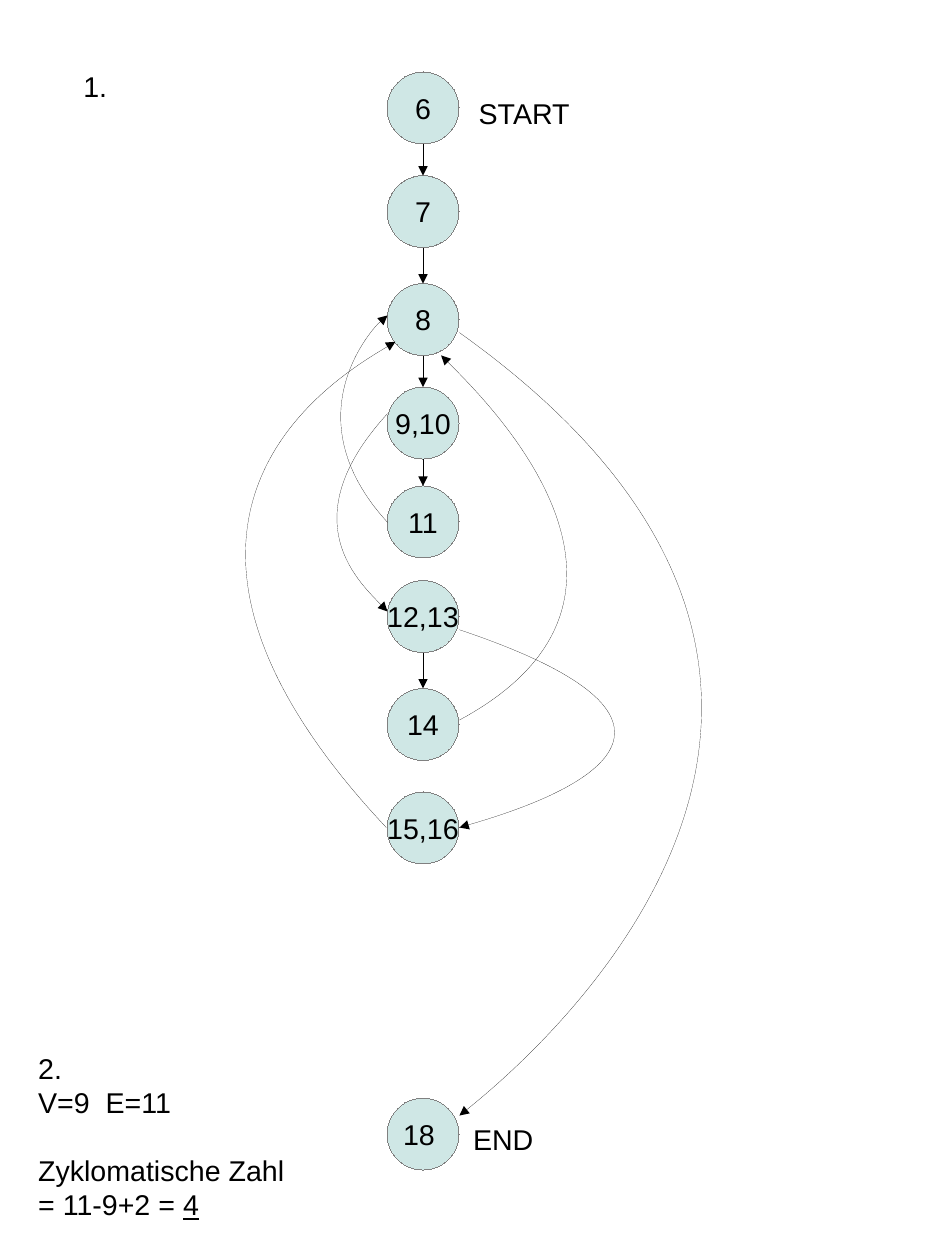
from lxml import etree
from pptx import Presentation
from pptx.dml.color import RGBColor
from pptx.enum.shapes import MSO_CONNECTOR, MSO_SHAPE
from pptx.enum.text import MSO_ANCHOR, MSO_AUTO_SIZE, PP_ALIGN
from pptx.oxml.ns import qn
from pptx.util import Pt

# Content: node label and top edge
NODES = [("6", 45.35), ("7", 110.6), ("8", 178.6), ("9,10", 243.8),
         ("11", 306.1), ("12,13", 365.7), ("14", 433.7), ("15,16", 498.9),
         ("18 ", 691.7)]
STRAIGHT_EDGES = [("6", "7"), ("7", "8"), ("8", "9,10"), ("9,10", "11"),
                  ("12,13", "14")]
# Start, control point, end, and for one edge a short straight last piece
CURVED_EDGES = [
    [(289.4, 209.5), (620.6, 445.7), (289.4, 702.7)],               # 8 to 18
    [(244.1, 260.6), (181.4, 329), (244.1, 385.2)],                 # 9,10 to 12,13
    [(244.1, 329), (181.4, 260.6), (238.3, 203.8), (244.1, 198.7)],  # 11 to 8
    [(289.4, 396.7), (493.2, 465.1), (289.4, 521.3)],               # 12,13 to 15,16
    [(289.4, 453.6), (436.3, 374.4), (277.9, 223.9)],               # 14 to 8
    [(243.4, 521.3), (55.4, 321.1), (249.1, 215.3)],                # 15,16 to 8
]
# Text boxes: left, top, width, height, paragraphs (space before, spans)
LABELS = [
    (294.5, 56.7, 80, 27.4, [(0, ["START"])]),
    (290.9, 703, 60, 27.4, [(0, ["END"])]),
    (45.4, 39.6, 33.8, 27.4, [(0, ["1."])]),
    (17, 658.5, 203.8, 118.1, [
        (0, ["2."]),
        (0, ["V=9  E=11"]),
        (21, ["Zyklomatische Zahl"]),
        (0, ["= 11-9+2 = ", "4"]),
    ]),
]
UNDERLINED = "4"

# Format
BLACK = RGBColor(0x00, 0x00, 0x00)
GREY = RGBColor(0x80, 0x80, 0x80)
MINT = RGBColor(0xCF, 0xE7, 0xE5)
FONT = {"name": "Arial", "size": Pt(18)}
NODE_LEFT, NODE_SIZE = 243.8, 45.35
NODE_CENTRE = NODE_LEFT + NODE_SIZE / 2
STEPS = 100


def add_span(para, text):
    span = para.add_run()
    span.text = text
    for key, value in FONT.items():
        setattr(span.font, key, value)
    span.font.color.rgb = BLACK
    return span


def style_line(item, color, arrow=False):
    item.line.color.rgb = color
    outline = item._element.spPr.find(qn("a:ln"))
    # Hairline: a zero width must be written out, or the theme width applies
    outline.set("w", "0")
    if arrow:
        etree.SubElement(outline, qn("a:tailEnd"), type="triangle")


def add_node(page, label, top):
    node = page.shapes.add_shape(MSO_SHAPE.OVAL, Pt(NODE_LEFT), Pt(top),
                                 Pt(NODE_SIZE), Pt(NODE_SIZE))
    node.shadow.inherit = False
    node.fill.solid()
    node.fill.fore_color.rgb = MINT
    style_line(node, GREY)
    frame = node.text_frame
    frame.word_wrap = False
    frame.vertical_anchor = MSO_ANCHOR.MIDDLE
    para = frame.paragraphs[0]
    para.alignment = PP_ALIGN.CENTER
    add_span(para, label)


def add_straight_edge(page, top, bottom):
    edge = page.shapes.add_connector(MSO_CONNECTOR.STRAIGHT, Pt(NODE_CENTRE), Pt(top),
                                     Pt(NODE_CENTRE), Pt(bottom))
    style_line(edge, BLACK, arrow=True)
    etree.SubElement(edge._element.spPr, qn("a:effectLst"))


def curve_point(start, control, end, t):
    """Point of a cubic curve whose second control point is its end."""
    return tuple(Pt((1 - t) ** 3 * s + 3 * (1 - t) ** 2 * t * c + (3 - 2 * t) * t * t * e)
                 for s, c, e in zip(start, control, end))


def add_curved_edge(page, start, control, end, *last):
    # Points along the curve give the outline its bounds
    points = [curve_point(start, control, end, i / STEPS) for i in range(STEPS + 1)]
    builder = page.shapes.build_freeform(*points[0])
    builder.add_line_segments(points[1:] + [(Pt(x), Pt(y)) for x, y in last], close=False)
    edge = builder.convert_to_shape()
    edge.shadow.inherit = False
    edge.fill.background()
    style_line(edge, BLACK, arrow=True)

    # One smooth curve takes the place of the short segments
    track = next(edge._element.iter(qn("a:path")))
    for segment in track.findall(qn("a:lnTo"))[:STEPS]:
        track.remove(segment)
    curve = etree.Element(qn("a:cubicBezTo"))
    for x, y in (control, end, end):
        etree.SubElement(curve, qn("a:pt"), x=str(Pt(x) - edge.left),
                         y=str(Pt(y) - edge.top))
    track.insert(1, curve)


def add_label(page, left, top, width, height, paragraphs):
    box = page.shapes.add_textbox(Pt(left), Pt(top), Pt(width), Pt(height))
    frame = box.text_frame
    frame.word_wrap = True
    frame.auto_size = MSO_AUTO_SIZE.SHAPE_TO_FIT_TEXT
    for i, (space, spans) in enumerate(paragraphs):
        para = frame.add_paragraph() if i else frame.paragraphs[0]
        if space:
            para.space_before = Pt(space)
        for text in spans:
            span = add_span(para, text)
            if text == UNDERLINED:
                span.font.underline = True


def main():
    deck = Presentation()
    deck.slide_width, deck.slide_height = Pt(595.28), Pt(793.7)
    page = deck.slides.add_slide(deck.slide_layouts[6])

    # Control flow graph
    tops = dict(NODES)
    for label, top in NODES:
        add_node(page, label, top)
    for source, target in STRAIGHT_EDGES:
        add_straight_edge(page, tops[source] + NODE_SIZE, tops[target])
    for points in CURVED_EDGES:
        add_curved_edge(page, *points)

    # Labels and result
    for label in LABELS:
        add_label(page, *label)

    deck.save("out.pptx")


if __name__ == "__main__":
    main()
